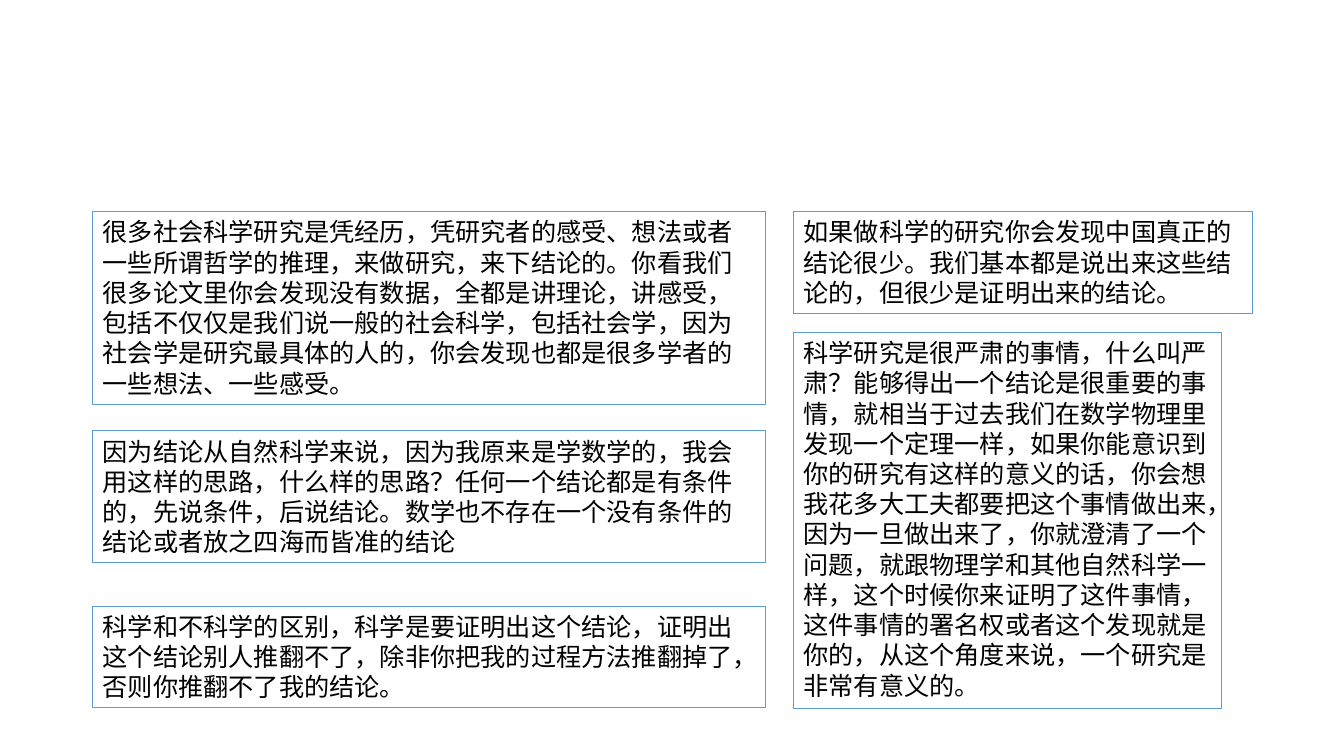
from dataclasses import dataclass

from pptx import Presentation
from pptx.dml.color import RGBColor
from pptx.enum.text import MSO_ANCHOR, MSO_AUTO_SIZE, PP_ALIGN
from pptx.util import Inches, Pt

TOP, LEFT = MSO_ANCHOR.TOP, PP_ALIGN.LEFT
GROW = MSO_AUTO_SIZE.SHAPE_TO_FIT_TEXT


@dataclass(frozen=True)
class Theme:
    font: str = "Calibri"
    size: float = 18
    text: str = "000000"
    border: str = "5B9BD5"
    border_width: float = 0.75


THEME = Theme()
SLIDE_WIDTH, SLIDE_HEIGHT = 13.33, 7.5
LEFT_COLUMN, RIGHT_COLUMN = 0.92, 7.87
FIRST_ROW = 2.1
LINE_HEIGHT = 0.3025
PADDING = 0.1

# fields: width, line count, gap above, text
COLUMNS = {
    LEFT_COLUMN: [
        (6.67, 6, 0, "很多社会科学研究是凭经历，凭研究者的感受、想法或者一些所谓哲学的推理，来做研究，来下结论的。你看我们很多论文里你会发现没有数据，全都是讲理论，讲感受，包括不仅仅是我们说一般的社会科学，包括社会学，因为社会学是研究最具体的人的，你会发现也都是很多学者的一些想法、一些感受。"),
        (6.67, 4, 0.26, "因为结论从自然科学来说，因为我原来是学数学的，我会用这样的思路，什么样的思路？任何一个结论都是有条件的，先说条件，后说结论。数学也不存在一个没有条件的结论或者放之四海而皆准的结论"),
        (6.67, 3, 0.43, "科学和不科学的区别，科学是要证明出这个结论，证明出这个结论别人推翻不了，除非你把我的过程方法推翻掉了，否则你推翻不了我的结论。"),
    ],
    RIGHT_COLUMN: [
        (4.55, 3, 0, "如果做科学的研究你会发现中国真正的结论很少。我们基本都是说出来这些结论的，但很少是证明出来的结论。"),
        (4.25, 12, 0.19, "科学研究是很严肃的事情，什么叫严肃？能够得出一个结论是很重要的事情，就相当于过去我们在数学物理里发现一个定理一样，如果你能意识到你的研究有这样的意义的话，你会想我花多大工夫都要把这个事情做出来，因为一旦做出来了，你就澄清了一个问题，就跟物理学和其他自然科学一样，这个时候你来证明了这件事情，这件事情的署名权或者这个发现就是你的，从这个角度来说，一个研究是非常有意义的。"),
    ],
}


def add_passage(slide, left, top, width, height, text):
    shape = slide.shapes.add_textbox(*map(Inches, (left, top, width, height)))
    shape.line.color.rgb = RGBColor.from_string(THEME.border)
    shape.line.width = Pt(THEME.border_width)
    text_frame = shape.text_frame
    text_frame.word_wrap = True
    text_frame.auto_size = GROW
    text_frame.vertical_anchor = TOP
    text_frame.text = text
    paragraph = text_frame.paragraphs[0]
    paragraph.alignment = LEFT
    font = paragraph.runs[0].font
    font.name = THEME.font
    font.size = Pt(THEME.size)
    font.color.rgb = RGBColor.from_string(THEME.text)


def main():
    presentation = Presentation()
    presentation.slide_width = Inches(SLIDE_WIDTH)
    presentation.slide_height = Inches(SLIDE_HEIGHT)
    slide = presentation.slides.add_slide(presentation.slide_layouts[6])
    for left, passages in COLUMNS.items():
        top = FIRST_ROW
        for width, lines, gap, text in passages:
            top += gap
            height = PADDING + lines * LINE_HEIGHT
            add_passage(slide, left, top, width, height, text)
            top += height
    presentation.save("out.pptx")


if __name__ == "__main__":
    main()
